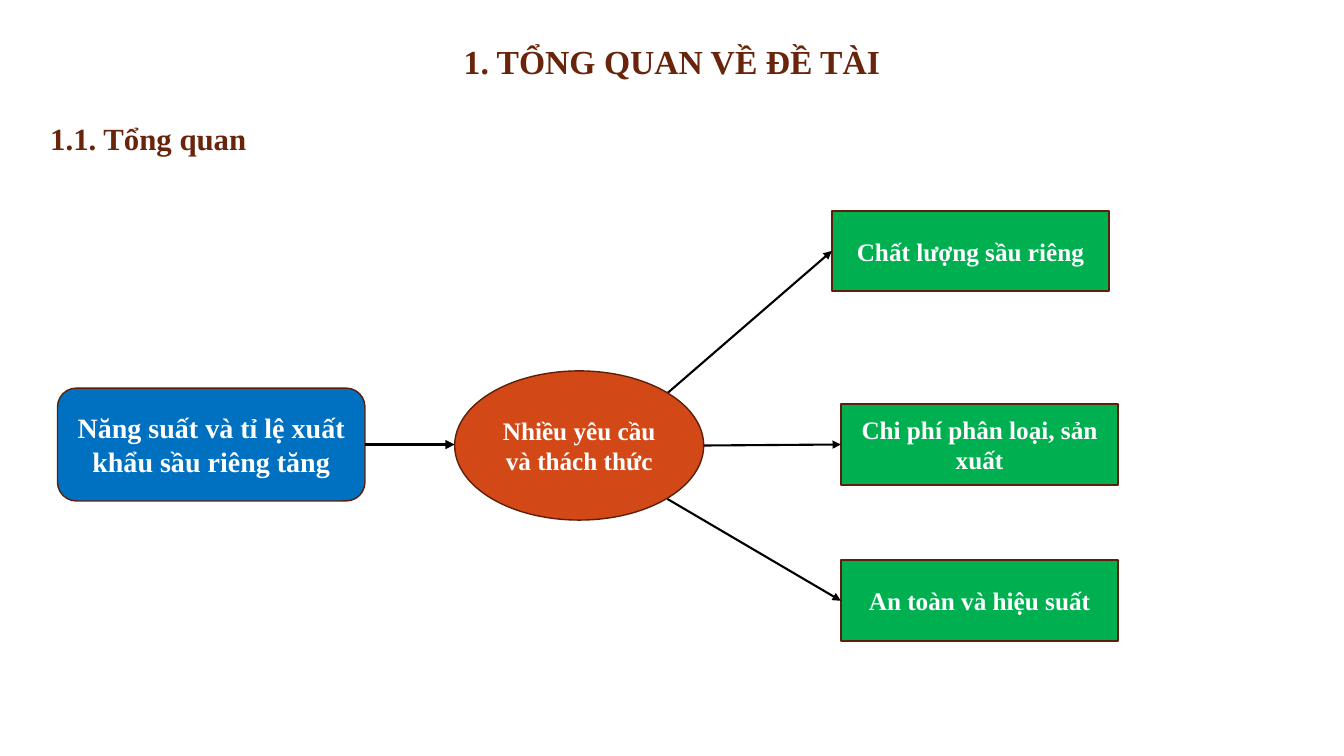
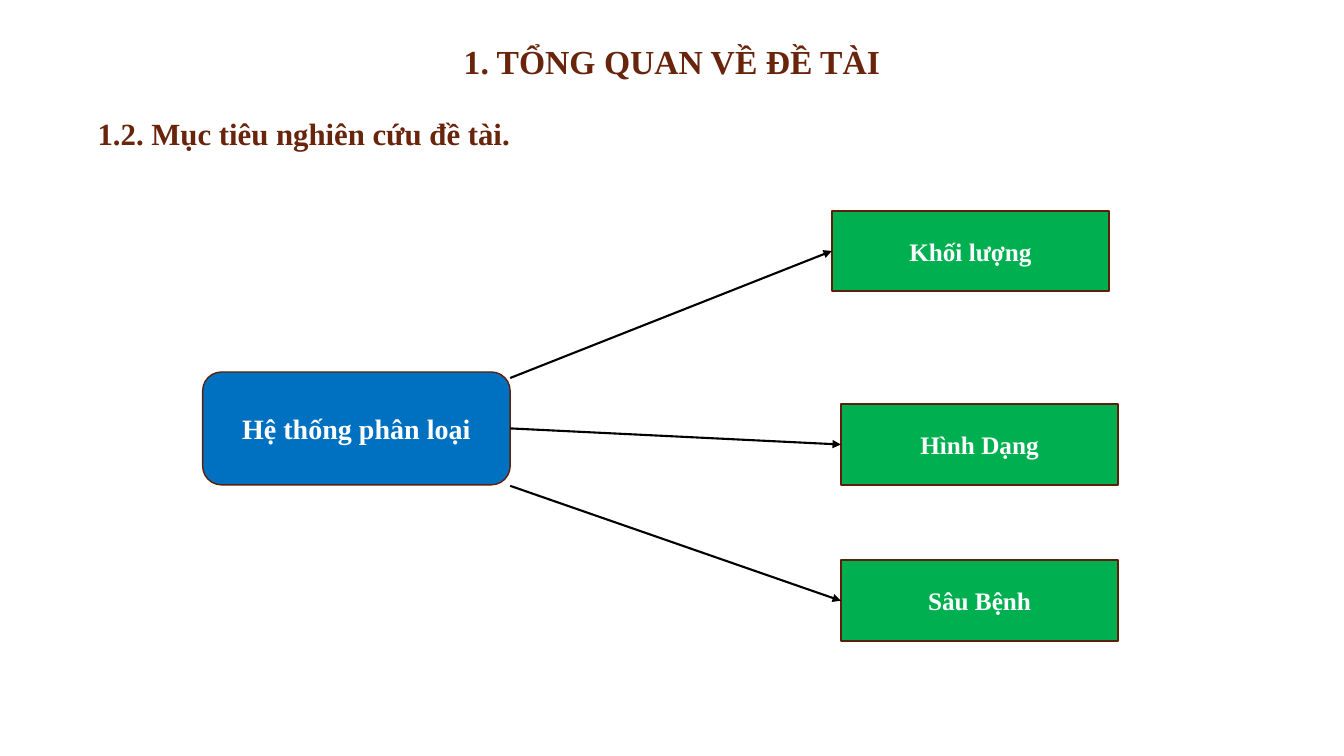
from pptx import Presentation
from pptx.dml.color import RGBColor
from pptx.enum import shapes, text
from pptx.oxml import ns
from pptx.util import Pt
from lxml import etree

PX = 9144  # 100 px to the inch
FONT = "Times New Roman"
BROWN = RGBColor(0x69, 0x24, 0x0C)
EDGE = RGBColor(0x5C, 0x20, 0x0A)
BLUE = RGBColor(0x00, 0x70, 0xC0)
ORANGE = RGBColor(0xD3, 0x48, 0x17)
GREEN = RGBColor(0x00, 0xB0, 0x50)
WHITE = RGBColor(0xFF, 0xFF, 0xFF)
BLACK = RGBColor(0x00, 0x00, 0x00)

KIND = shapes.MSO_SHAPE
CENTER = text.PP_ALIGN.CENTER
RIGHT_SIDE, LEFT_SIDE = 3, 1


def add_label(page, bounds, words, size, kind=None, fill=None, edge=1, align=CENTER):
    """Add a filled shape with white text, or a brown heading when no kind is given."""
    place = [length * PX for length in bounds]
    if kind is None:
        box = page.shapes.add_textbox(*place)
    else:
        box = page.shapes.add_shape(kind, *place)
        box.shadow.inherit = False
        box.fill.solid()
        box.fill.fore_color.rgb = fill
        box.line.color.rgb = EDGE
        box.line.width = Pt(edge)
        box.text_frame.vertical_anchor = text.MSO_ANCHOR.MIDDLE
    box.text_frame.word_wrap = True
    para = box.text_frame.paragraphs[0]
    para.alignment = align
    span = para.add_run()
    span.text = words
    span.font.name = FONT
    span.font.size = Pt(size)
    span.font.bold = True
    span.font.color.rgb = BROWN if kind is None else WHITE
    return box


def add_arrow(page, start, end, width=1.5):
    arrow = page.shapes.add_connector(
        shapes.MSO_CONNECTOR.STRAIGHT, *[length * PX for length in start + end])
    arrow.line.color.rgb = BLACK
    arrow.line.width = Pt(width)
    line = arrow.line._get_or_add_ln()
    etree.SubElement(line, ns.qn("a:tailEnd"), type="triangle")
    etree.SubElement(arrow._element.spPr, ns.qn("a:effectLst"))
    return arrow


deck = Presentation()
deck.slide_width, deck.slide_height = 1333 * PX, 750 * PX

# heading and its corner, source text and its corner, topics, arrow starts
SECTIONS = [
    ("1.1. Tổng quan", (40, 114),
     "Năng suất và tỉ lệ xuất khẩu sầu riêng tăng", (57, 385),
     ["Chất lượng sầu riêng", "Chi phí phân loại, sản xuất", "An toàn và hiệu suất"],
     [(662, 390), (698, 442), (662, 495)]),
    ("1.2. Mục tiêu nghiên cứu đề tài.", (87, 109),
     "Hệ thống phân loại", (201, 369),
     ["Khối lượng", "Hình Dạng", "Sâu Bệnh"],
     [(506, 375), (506, 425), (506, 482)]),
]
TOPIC_CORNERS = [(825, 209), (834, 401), (834, 556)]

pages, sources = [], []
for heading, heading_at, source_words, source_at, topics, starts in SECTIONS:
    page = deck.slides.add_slide(deck.slide_layouts[6])
    add_label(page, (133, 36, 1067, 50), "1. TỔNG QUAN VỀ ĐỀ TÀI", 24)
    add_label(page, (*heading_at, 1160, 47), heading, 22, align=text.PP_ALIGN.LEFT)
    source = add_label(page, (*source_at, 305, 112), source_words, 20,
                       KIND.ROUNDED_RECTANGLE, BLUE)
    for words, corner, start in zip(topics, TOPIC_CORNERS, starts):
        topic = add_label(page, (*corner, 275, 80), words, 18, KIND.RECTANGLE, GREEN, 1.5)
        arrow = add_arrow(page, start, corner)
        arrow.end_connect(topic, LEFT_SIDE)
        if start == (source_at[0] + 305, source_at[1] + 56):
            arrow.begin_connect(source, RIGHT_SIDE)
    pages.append(page)
    sources.append(source)

# The first page has a middle step between source and topics
add_label(pages[0], (451, 368, 247, 148), "Nhiều yêu cầu và thách thức", 18, KIND.OVAL, ORANGE)
source_arrow = add_arrow(pages[0], (362, 441), (451, 441), 2.25)
source_arrow.begin_connect(sources[0], RIGHT_SIDE)

deck.save("out.pptx")
